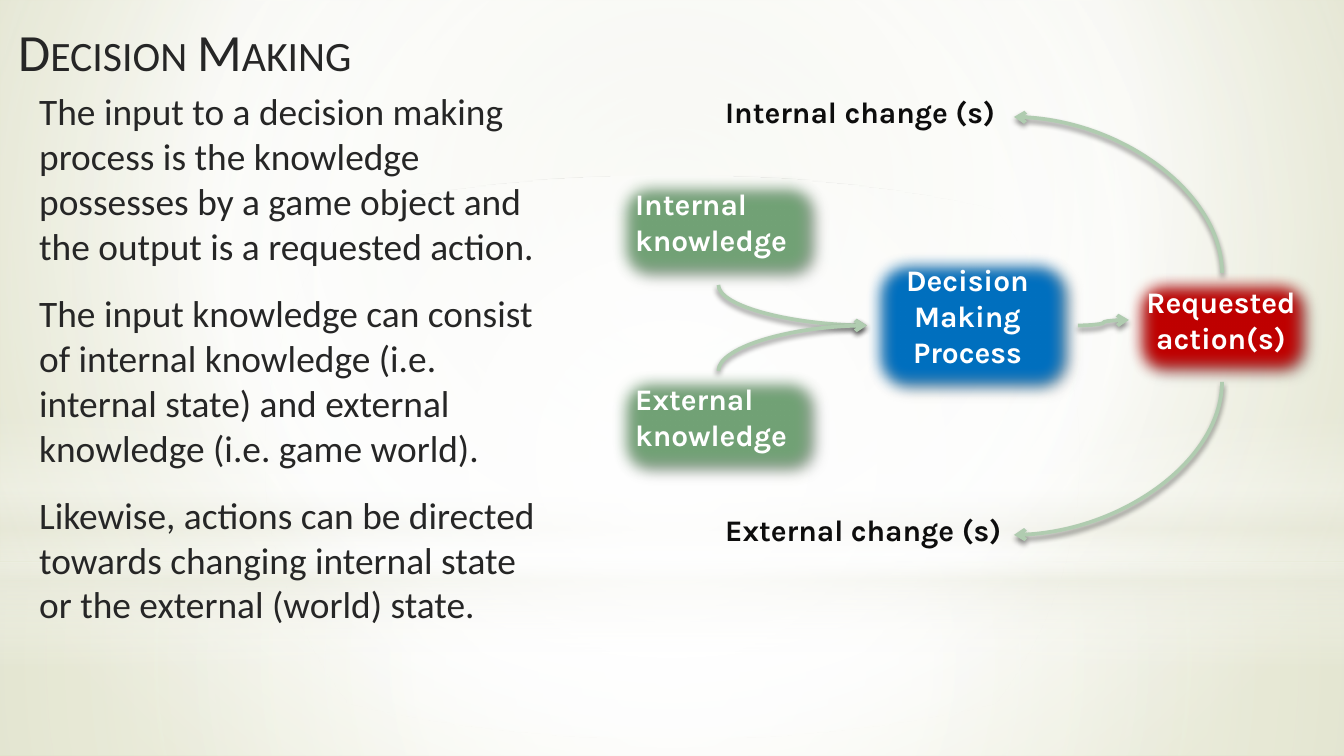
from lxml import etree
from pptx import Presentation
from pptx.dml.color import RGBColor
from pptx.enum.shapes import MSO_CONNECTOR, MSO_SHAPE
from pptx.enum.text import MSO_ANCHOR, PP_ALIGN
from pptx.oxml import parse_xml
from pptx.oxml.ns import qn
from pptx.util import Pt

SCALE = 914400 / 134.4
WIDE, HIGH = 1344, 756
NS = 'xmlns:a="http://schemas.openxmlformats.org/drawingml/2006/main"'

RECT, OVAL, ROUND = MSO_SHAPE.RECTANGLE, MSO_SHAPE.OVAL, MSO_SHAPE.ROUNDED_RECTANGLE
CURVE = MSO_CONNECTOR.CURVE
LEFT, CENTER = PP_ALIGN.LEFT, PP_ALIGN.CENTER
TOP, MIDDLE = MSO_ANCHOR.TOP, MSO_ANCHOR.MIDDLE
SITE_TOP, SITE_LEFT, SITE_BASE, SITE_RIGHT = range(4)

WHITE = RGBColor(0xFF, 0xFF, 0xFF)
BLACK = RGBColor(0x00, 0x00, 0x00)
INK = RGBColor(0x26, 0x26, 0x26)
DARK = RGBColor(0x0D, 0x0D, 0x0D)
GREEN = RGBColor(0x72, 0xA3, 0x76)
FOREST = RGBColor(0x35, 0x53, 0x37)
SAGE = RGBColor(0xB0, 0xCC, 0xB0)
BLUE = RGBColor(0x00, 0x70, 0xC0)
RED = RGBColor(0xC0, 0x00, 0x00)
CREAM = RGBColor(0xEA, 0xEB, 0xDE)
SAND = RGBColor(0xE3, 0xE5, 0xD1)
OLIVE = RGBColor(0xCC, 0xD0, 0x9F)

BODY = [
    "The input to a decision making process is the knowledge possesses by "
    "a game object and the output is a requested action.",
    "The input knowledge can consist of internal knowledge (i.e. internal "
    "state) and external knowledge (i.e. game world).",
    "Likewise, actions can be directed towards changing internal state or "
    "the external (world) state.",
]


def px(*nums):
    return [round(num * SCALE) for num in nums]


def blend(fill, stops, focus=None):
    """Fill with (place, colour, opacity) stops, round a focus or downwards."""
    fill.gradient()
    old = fill._xPr.find(qn("a:gradFill"))
    marks = "".join(
        f'<a:gs pos="{at * 1000}"><a:srgbClr val="{color}">'
        f'<a:alpha val="{alpha * 1000}"/></a:srgbClr></a:gs>'
        for at, color, alpha in stops)
    if focus:
        sides = " ".join(f'{side}="{num * 1000}"' for side, num in zip("ltrb", focus))
        way = f'<a:path path="circle"><a:fillToRect {sides}/></a:path>'
    else:
        way = '<a:lin ang="5400000" scaled="0"/>'
    new = parse_xml(f'<a:gradFill {NS} rotWithShape="1"><a:gsLst>{marks}</a:gsLst>{way}</a:gradFill>')
    old.getparent().replace(old, new)


def shade(effects, alpha, blur, dist, angle):
    """Add an outer shadow to an effect list."""
    effects.append(parse_xml(
        f'<a:outerShdw {NS} blurRad="{Pt(blur)}" dist="{Pt(dist)}" '
        f'dir="{angle * 60000}" rotWithShape="0"><a:srgbClr val="{BLACK}">'
        f'<a:alpha val="{alpha * 1000}"/></a:srgbClr></a:outerShdw>'))


def write(slide, box, *texts, size=16, face="Karla", color=WHITE, bold=False,
          caps=False, align=LEFT, anchor=TOP, gap=0):
    area = slide.shapes.add_textbox(*px(*box))
    frame = area.text_frame
    frame.word_wrap = True
    frame.vertical_anchor = anchor
    for num, text in enumerate(texts):
        para = frame.add_paragraph() if num else frame.paragraphs[0]
        para.alignment = align
        if num:
            para.space_before = Pt(gap)
        run = para.add_run()
        run.text = text
        font = run.font
        font.size, font.name, font.bold = Pt(size), face, bold
        font.color.rgb = color
        if caps:
            run._r.get_or_add_rPr().set("cap", "small")
    return area


def backdrop(slide, box):
    left, top, wide, high = box
    blend(slide.background.fill,
          [(0, SAND, 100), (60, WHITE, 100), (100, OLIVE, 100)], (20, 10, 20, 60))
    mid = (50, 50, 50, 50)
    split = 563
    layers = [
        (RECT, split, high - split, mid,
         [(0, WHITE, 91), (37, WHITE, 76), (100, CREAM, 79)]),
        (RECT, 0, split, mid,
         [(0, WHITE, 89), (48, WHITE, 62), (100, CREAM, 79)]),
        (RECT, 415, 253, None,
         [(0, WHITE, 0), (29, WHITE, 30), (45, CREAM, 40),
          (55, WHITE, 26), (65, CREAM, 60), (100, WHITE, 0)]),
        (OVAL, 176, split, mid, [(0, WHITE, 100), (56, WHITE, 0)]),
    ]
    for kind, down, tall, focus, stops in layers:
        layer = slide.shapes.add_shape(kind, *px(left, top + down, wide, tall))
        layer.shadow.inherit = False
        layer.line.fill.background()
        blend(layer.fill, stops, focus)


def node(slide, box, text, inner, fill, edge=FOREST, align=LEFT):
    """Soft-edged block with a label; inner is the label box inside it."""
    left, top = box[:2]
    block = slide.shapes.add_shape(ROUND, *px(*box))
    block.fill.solid()
    block.fill.fore_color.rgb = fill
    block.line.color.rgb = edge
    block.line.width = Pt(1.25)
    block.shadow.inherit = False
    effects = block._element.spPr.find(qn("a:effectLst"))
    shade(effects, 40, 4, 3, 45)
    etree.SubElement(effects, qn("a:softEdge"), rad=str(Pt(9)))
    label = write(slide, (left + inner[0], top + inner[1], *inner[2:]), text,
                  bold=True, align=align)
    return block, label


def link(slide, tip, root, bend=True):
    """Curve with its arrow at tip; an end is (shape, site) or (None, point)."""
    line = slide.shapes.add_connector(CURVE, 0, 0, 0, 0)
    line.end_connect(*root)
    shape, spot = tip
    if shape:
        line.begin_connect(shape, spot)
    else:
        line.begin_x, line.begin_y = px(*spot)
    props = line._element.spPr
    if bend:
        props.find(qn("a:prstGeom")).set("prst", "curvedConnector2")
    line.line.color.rgb = SAGE
    line.line.width = Pt(2)
    etree.SubElement(props.find(qn("a:ln")), qn("a:headEnd"), type="arrow")
    shade(etree.SubElement(props, qn("a:effectLst")), 45, 3.1, 1.8, 90)


def diagram(slide, box):
    left, top, wide, high = box
    know = [
        node(slide, (left, top + down, 211, 109), text, (9, 3, 211, 86), GREEN)[0]
        for text, down in (("Internal knowledge", 89), ("External knowledge", 284))]
    core, _ = node(slide, (left + 254, top + 166, 211, 145), "Decision Making Process",
                   (9, 2, 183, 122), BLUE, BLUE, CENTER)
    act, label = node(slide, (left + wide - 188, top + 186, 188, 109),
                      "Requested action(s)", (1, 4, 184, 86), RED, align=CENTER)

    for block, site in zip(know, (SITE_BASE, SITE_TOP)):
        link(slide, (core, SITE_LEFT), (block, site))
    link(slide, (label, SITE_LEFT), (core, SITE_RIGHT), bend=False)
    for text, down, site in (("Internal change (s)", 0, SITE_TOP),
                             ("External change (s)", high - 50, SITE_BASE)):
        link(slide, (None, (left + 401, top + down + 30)), (act, site))
        write(slide, (left + 99, top + down, 343, 50), text, color=DARK, bold=True)


def prose(slide, box):
    """Title above the body text."""
    left, top, wide, high = box
    write(slide, (left, top, wide, 85), "Decision Making", size=28, face="Calibri",
          color=INK, caps=True, anchor=MIDDLE)
    write(slide, (left + 21, top + 74, 525, high - 74), *BODY, size=20,
          face="Calibri", color=INK, gap=12)


def main():
    deck = Presentation()
    deck.slide_width, deck.slide_height = px(WIDE, HIGH)
    slide = deck.slides.add_slide(deck.slide_layouts[6])
    backdrop(slide, (0, 0, WIDE, HIGH))
    prose(slide, (5, 8, 571, 630))
    diagram(slide, (613, 87, 703, 468))
    deck.save("out.pptx")


if __name__ == "__main__":
    main()
